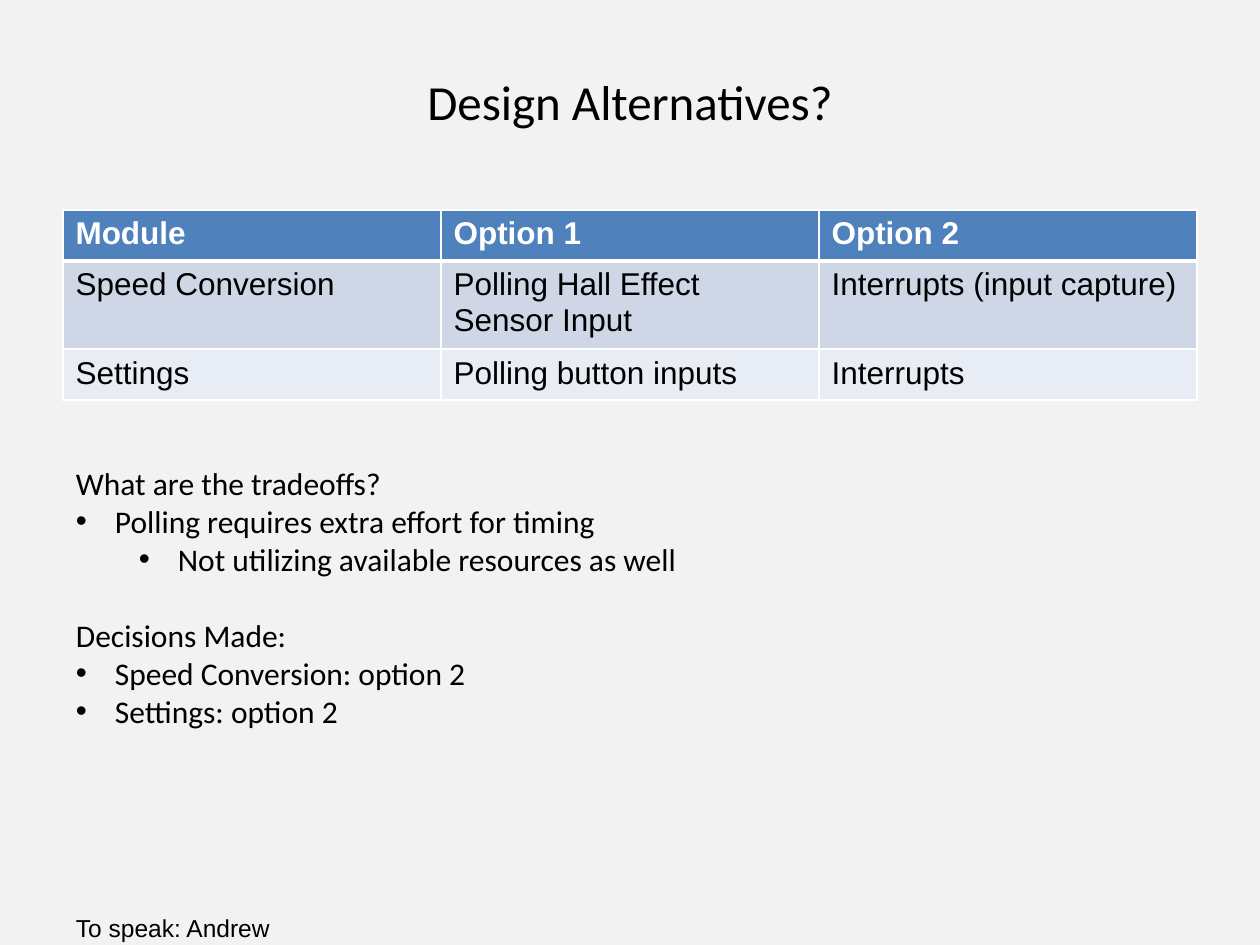
from pptx import Presentation
from pptx.dml.color import RGBColor
from pptx.enum.text import MSO_ANCHOR as Anchor, PP_ALIGN as Align
from pptx.oxml.xmlchemy import OxmlElement as Elem
from pptx.util import Emu, Pt

SCALE = 914400 / 126
BLACK = RGBColor(0x00, 0x00, 0x00)
WHITE = RGBColor(0xFF, 0xFF, 0xFF)
BLUE = RGBColor(0x4F, 0x81, 0xBD)
BAND = RGBColor(0xCF, 0xD7, 0xE7)
PALE = RGBColor(0xE8, 0xEC, 0xF4)
GREY = RGBColor(0xF2, 0xF2, 0xF2)

ROWS = [
    ("Module", "Option 1", "Option 2"),
    ("Speed Conversion", "Polling Hall Effect Sensor Input", "Interrupts (input capture)"),
    ("Settings", "Polling button inputs", "Interrupts"),
]
NOTES = [
    ("What are the tradeoffs?", [
        ("Polling requires extra effort for timing", 0),
        ("Not utilizing available resources as well", 1),
    ]),
    ("Decisions Made:", [
        ("Speed Conversion: option 2", 0),
        ("Settings: option 2", 0),
    ]),
]


def px(n):
    """Turn pixels into EMU."""
    return Emu(round(n * SCALE))


def add_run(para, text, font, size, color=BLACK, bold=False):
    """Add one styled run to a paragraph."""
    run = para.add_run()
    run.text = text
    run.font.name = font
    run.font.size = Pt(size)
    run.font.bold = bold
    run.font.color.rgb = color


def add_box(slide, box, top=6, low=6):
    """Add a wrapping text box and return its frame."""
    frame = slide.shapes.add_textbox(*map(px, box)).text_frame
    frame.word_wrap = True
    frame.margin_left = frame.margin_right = px(13)
    frame.margin_top, frame.margin_bottom = px(top), px(low)
    return frame


def add_title(slide, box):
    """Place the centred title in its box."""
    frame = add_box(slide, box)
    frame.vertical_anchor = Anchor.MIDDLE
    para = frame.paragraphs[0]
    para.alignment = Align.CENTER
    add_run(para, "Design Alternatives?", "Calibri", 28)


def add_edge(cell, side, width):
    """Draw one white cell border."""
    line = Elem(f"a:ln{side}")
    line.set("w", str(Pt(width)))
    fill = Elem("a:solidFill")
    color = Elem("a:srgbClr")
    color.set("val", str(WHITE))
    fill.append(color)
    line.append(fill)
    cell._tc.get_or_add_tcPr().append(line)


def add_grid(slide, box):
    """Place the table of options in its box."""
    shape = slide.shapes.add_table(len(ROWS), len(ROWS[0]), *map(px, box))
    table = shape.table
    for r, (texts, fill) in enumerate(zip(ROWS, (BLUE, BAND, PALE))):
        table.rows[r].height = px(51)
        head = r == 0
        for c, text in enumerate(texts):
            cell = table.cell(r, c)
            for side in "LRTB":
                thick = (head and side == "B") or (r == 1 and side == "T")
                add_edge(cell, side, 3 if thick else 1)
            cell.fill.solid()
            cell.fill.fore_color.rgb = fill
            para = cell.text_frame.paragraphs[0]
            add_run(para, text, "Arial", 18, WHITE if head else BLACK, head)
    shape.height = px(box[3])


def add_dot(para, level):
    """Give a paragraph a bullet and a hanging indent."""
    para.level = level
    props = para._p.get_or_add_pPr()
    props.set("marL", str(px(39 + 63 * level)))
    props.set("indent", str(px(-39)))
    font = Elem("a:buFont")
    font.set("typeface", "Arial")
    dot = Elem("a:buChar")
    dot.set("char", "•")
    props.extend([font, dot])


def add_notes(slide, box):
    """Place the headed bullet lists in their box."""
    frame = add_box(slide, box, top=44)
    for i, (head, items) in enumerate(NOTES):
        para = frame.add_paragraph() if i else frame.paragraphs[0]
        if i:
            para.space_before = Pt(22)
        add_run(para, head, "Calibri", 18)
        for text, level in items:
            para = frame.add_paragraph()
            add_dot(para, level)
            add_run(para, text, "Calibri", 18)


def add_foot(slide, box):
    """Place the speaker line in its box."""
    frame = add_box(slide, box, top=13, low=13)
    add_run(frame.paragraphs[0], "To speak: Andrew", "Arial", 14)


def main():
    """Build and save the slide."""
    deck = Presentation()
    deck.slide_width, deck.slide_height = px(1260), px(945)
    slide = deck.slides.add_slide(deck.slide_layouts[6])
    slide.background.fill.solid()
    slide.background.fill.fore_color.rgb = GREY
    add_title(slide, (63, 22, 1134, 158))
    add_grid(slide, (63, 210, 1134, 190))
    add_notes(slide, (63, 420, 1134, 394))
    add_foot(slide, (63, 900, 414, 45))
    deck.save("out.pptx")


if __name__ == "__main__":
    main()
